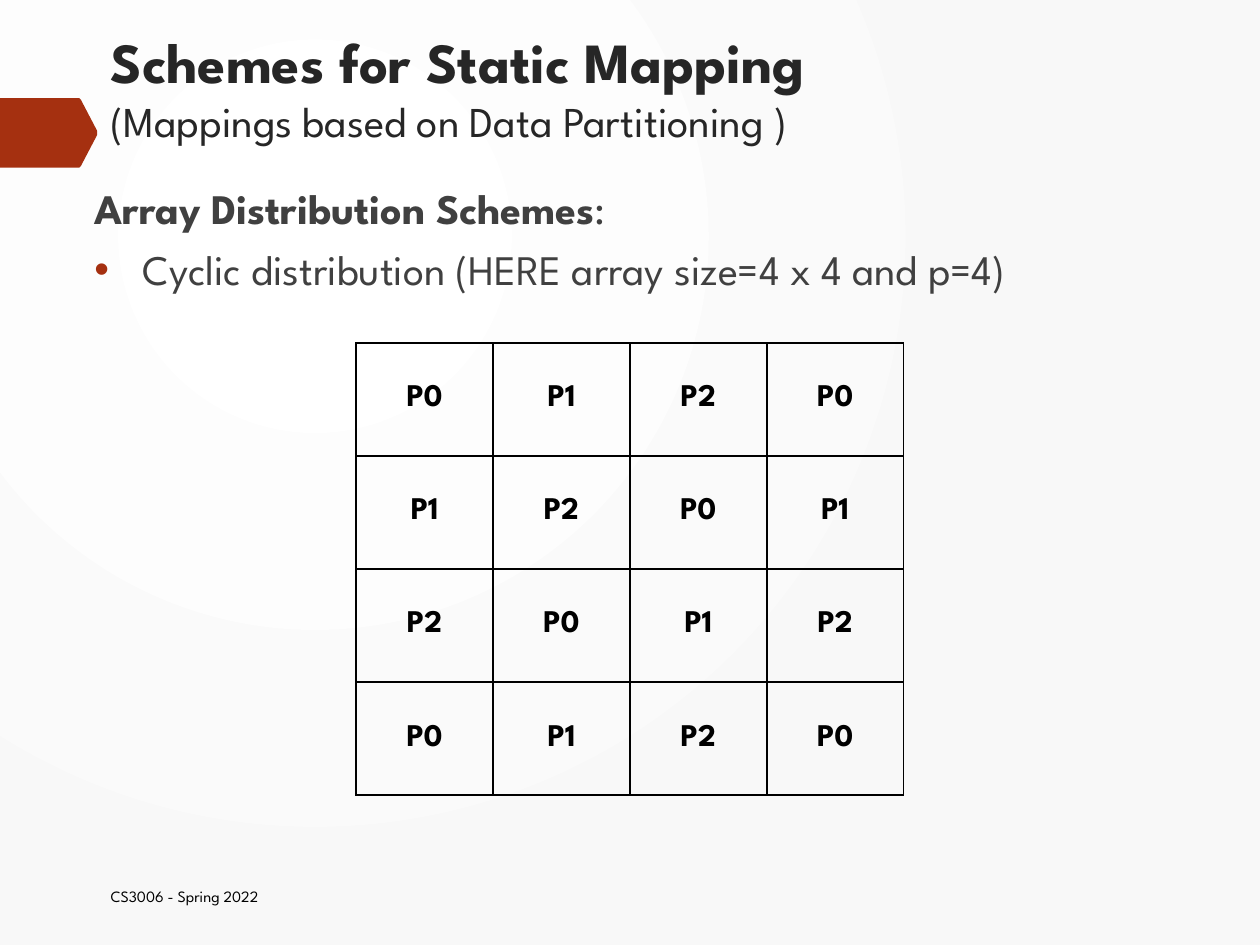
from dataclasses import dataclass

from lxml.etree import SubElement
from pptx import Presentation
from pptx.dml.color import RGBColor
from pptx.enum.text import MSO_ANCHOR, MSO_AUTO_SIZE, PP_ALIGN
from pptx.oxml.ns import qn
from pptx.util import Cm, Pt

FONT = "League Spartan"
WHITE = RGBColor(0xFF, 0xFF, 0xFF)
PALE_GREY = RGBColor(0xF8, 0xF8, 0xF8)
RUST = RGBColor(0xA5, 0x30, 0x10)
TITLE_GREY = RGBColor(0x26, 0x26, 0x26)
BODY_GREY = RGBColor(0x40, 0x40, 0x40)
BLACK = RGBColor(0x00, 0x00, 0x00)

GRID_SIZE = 4
PROCESS_COUNT = 3
COLUMN_WIDTH = 2.76
ROW_HEIGHT = 2.28
BULLET_INDENT = 0.97
ARROW_POINTS = [(0, 1.98), (1.6, 1.98), (1.63, 2.01), (1.96, 2.64),
                (1.96, 2.72), (1.63, 3.35), (1.6, 3.38), (0, 3.38)]


@dataclass(frozen=True)
class Box:
    """Position and size in centimetres."""
    left: float
    top: float
    width: float
    height: float

    def lengths(self) -> tuple:
        return Cm(self.left), Cm(self.top), Cm(self.width), Cm(self.height)


@dataclass(frozen=True)
class TextStyle:
    size: float
    color: RGBColor
    bold: bool = False


def style_run(run, style: TextStyle) -> None:
    run.font.name = FONT
    run.font.size = Pt(style.size)
    run.font.bold = style.bold
    run.font.color.rgb = style.color


def place(shape, box: Box, anchor: MSO_ANCHOR) -> None:
    shape.left, shape.top, shape.width, shape.height = box.lengths()
    text_frame = shape.text_frame
    text_frame.word_wrap = True
    text_frame.auto_size = MSO_AUTO_SIZE.NONE
    text_frame.vertical_anchor = anchor


def set_background(slide) -> None:
    fill = slide.background.fill
    fill.gradient()
    for stop, color in zip(fill.gradient_stops, (WHITE, PALE_GREY)):
        stop.color.rgb = color
    # Turn the linear gradient into a circular one
    gradient = slide.element.find(".//" + qn("a:gradFill"))
    gradient.remove(gradient.find(qn("a:lin")))
    circle = SubElement(gradient, qn("a:path"), path="circle")
    SubElement(circle, qn("a:fillToRect"),
               l="50000", t="50000", r="100000", b="100000")


def add_arrow(slide) -> None:
    points = [(Cm(x), Cm(y)) for x, y in ARROW_POINTS]
    builder = slide.shapes.build_freeform(*points[0])
    builder.add_line_segments(points[1:])
    arrow = builder.convert_to_shape()
    arrow.shadow.inherit = False
    arrow.fill.solid()
    arrow.fill.fore_color.rgb = RUST
    arrow.line.fill.background()


def fill_title(title) -> None:
    place(title, Box(1.98, 0.41, 23.11, 2.26), MSO_ANCHOR.TOP)
    title.text_frame.text = ("Schemes for Static Mapping\v"
                             "(Mappings based on Data Partitioning )")
    paragraph = title.text_frame.paragraphs[0]
    paragraph.alignment = PP_ALIGN.LEFT
    styles = (TextStyle(32.4, TITLE_GREY, True), TextStyle(24.3, TITLE_GREY))
    for run, style in zip(paragraph.runs, styles):
        style_run(run, style)
    line_break = title.element.find(".//" + qn("a:br"))
    SubElement(line_break, qn("a:rPr"), sz="3240")


def fill_body(body) -> None:
    place(body, Box(1.65, 3.56, 23.44, 13.84), MSO_ANCHOR.TOP)
    heading = body.text_frame.paragraphs[0]
    heading.text = "Array Distribution Schemes"
    heading.add_run().text = ":"
    heading.alignment = PP_ALIGN.JUSTIFY
    item = body.text_frame.add_paragraph()
    item.text = "Cyclic distribution (HERE array size=4 x 4 and p=4)"
    for paragraph in (heading, item):
        paragraph.space_before = Pt(6)
        for run in paragraph.runs:
            style_run(run, TextStyle(24, BODY_GREY))
    heading.runs[0].font.bold = True

    # Bullets
    properties = heading._p.get_or_add_pPr()
    properties.set("marL", "0")
    properties.set("indent", "0")
    SubElement(properties, qn("a:buNone"))
    properties = item._p.get_or_add_pPr()
    properties.set("marL", str(Cm(BULLET_INDENT)))
    properties.set("indent", str(-Cm(BULLET_INDENT)))
    bullet_color = SubElement(properties, qn("a:buClr"))
    SubElement(bullet_color, qn("a:srgbClr"), val=str(RUST))
    SubElement(properties, qn("a:buFont"), typeface="Arial")
    SubElement(properties, qn("a:buChar"), char="•")


def add_footer(slide) -> None:
    box = Box(1.98, 17.55, 17.3, 1.02)
    footer = slide.shapes.add_textbox(*box.lengths())
    place(footer, box, MSO_ANCHOR.MIDDLE)
    footer.text_frame.text = "CS3006 - Spring 2022"
    style_run(footer.text_frame.paragraphs[0].runs[0], TextStyle(9, BLACK))


def format_cell(cell, text: str) -> None:
    cell.text_frame.text = text
    cell.vertical_anchor = MSO_ANCHOR.MIDDLE
    paragraph = cell.text_frame.paragraphs[0]
    paragraph.alignment = PP_ALIGN.CENTER
    style_run(paragraph.runs[0], TextStyle(18, BLACK, True))
    properties = cell._tc.get_or_add_tcPr()
    for side in ("lnL", "lnR", "lnT", "lnB"):
        border = SubElement(properties, qn(f"a:{side}"), w=str(Pt(1)))
        border_fill = SubElement(border, qn("a:solidFill"))
        SubElement(border_fill, qn("a:srgbClr"), val=str(BLACK))
    cell.fill.background()


def add_process_table(slide) -> None:
    box = Box(7.18, 6.91, GRID_SIZE * COLUMN_WIDTH, GRID_SIZE * ROW_HEIGHT)
    table = slide.shapes.add_table(GRID_SIZE, GRID_SIZE, *box.lengths()).table
    table.first_row = False
    table.horz_banding = False
    for column in table.columns:
        column.width = Cm(COLUMN_WIDTH)
    for row_index, row in enumerate(table.rows):
        row.height = Cm(ROW_HEIGHT)
        for column_index, cell in enumerate(row.cells):
            # Processes repeat cyclically along rows and columns
            format_cell(cell, f"P{(row_index + column_index) % PROCESS_COUNT}")


def main() -> None:
    presentation = Presentation()
    presentation.slide_width = Cm(25.4)
    presentation.slide_height = Cm(19.05)
    slide = presentation.slides.add_slide(presentation.slide_layouts[1])
    set_background(slide)
    add_arrow(slide)
    fill_title(slide.shapes.title)
    fill_body(slide.placeholders[1])
    add_footer(slide)
    add_process_table(slide)
    presentation.save("out.pptx")


if __name__ == "__main__":
    main()
